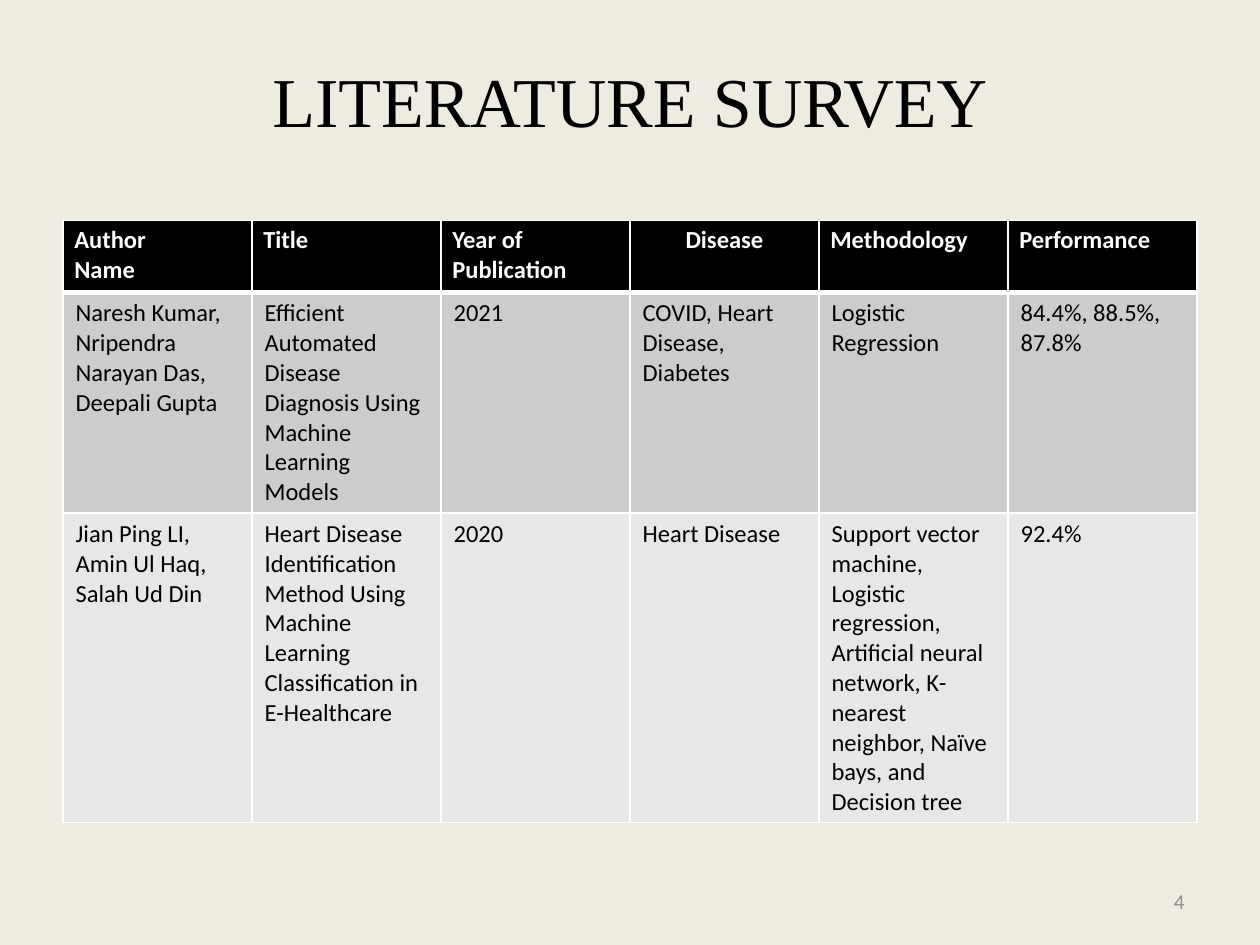
import pptx
import pptx.dml.color
import pptx.enum.text
import pptx.oxml
import pptx.oxml.ns
import pptx.util
from lxml import etree

RGBColor = pptx.dml.color.RGBColor
Inches = pptx.util.Inches
Align = pptx.enum.text.PP_ALIGN
Anchor = pptx.enum.text.MSO_ANCHOR

BACKGROUND = RGBColor(0xEE, 0xEC, 0xE1)
BLACK = RGBColor(0x00, 0x00, 0x00)
WHITE = RGBColor(0xFF, 0xFF, 0xFF)
GRAY = RGBColor(0x8C, 0x8C, 0x8C)
ROW_FILLS = [BLACK, RGBColor(0xCC, 0xCC, 0xCC), RGBColor(0xE7, 0xE7, 0xE7)]

ROW_HEIGHTS = [0.57, 1.75, 2.46]
SURVEY = [
    ["Author\nName", "Title", "Year of Publication", "Disease", "Methodology", "Performance"],
    [
        "Naresh Kumar, Nripendra Narayan Das, Deepali Gupta",
        "Efficient Automated Disease Diagnosis Using Machine Learning Models",
        "2021",
        "COVID, Heart Disease,\nDiabetes",
        "Logistic Regression",
        "84.4%, 88.5%,\n87.8%",
    ],
    [
        "Jian Ping LI, Amin Ul Haq, Salah Ud Din",
        "Heart Disease Identification Method Using Machine Learning Classification in E-Healthcare",
        "2020",
        "Heart Disease",
        "Support vector machine, Logistic regression, Artificial neural network, "
        "K-nearest neighbor, Naïve bays, and Decision tree",
        "92.4%",
    ],
]


def write_text(frame, text, size=14, font="Calibri", color=BLACK, bold=False, align=Align.LEFT):
    """Fill a text frame, one paragraph for each line of the text."""
    frame.word_wrap = True
    for index, line in enumerate(text.split("\n")):
        paragraph = frame.paragraphs[0] if index == 0 else frame.add_paragraph()
        paragraph.alignment = align
        run = paragraph.add_run()
        run.text = line
        run.font.size = pptx.util.Pt(size)
        run.font.name = font
        run.font.bold = bold
        run.font.color.rgb = color


def add_border(cell, side, points):
    """Draw a white line on one side (L, R, T or B) of a cell; call before filling it."""
    qn = pptx.oxml.ns.qn
    properties = cell._tc.get_or_add_tcPr()
    line = etree.SubElement(properties, qn(f"a:ln{side}"), w=str(pptx.util.Pt(points)))
    fill = etree.SubElement(line, qn("a:solidFill"))
    etree.SubElement(fill, qn("a:srgbClr"), val=str(WHITE))


presentation = pptx.Presentation()
presentation.slide_width = Inches(10)
presentation.slide_height = Inches(7.5)
width, height = presentation.slide_width, presentation.slide_height
margin = int(width * 0.05)
content_width = width - 2 * margin

slide = presentation.slides.add_slide(presentation.slide_layouts[6])
slide.background.fill.solid()
slide.background.fill.fore_color.rgb = BACKGROUND

title = slide.shapes.add_textbox(margin, int(height * 0.04), content_width, int(height * 0.13))
title.text_frame.vertical_anchor = Anchor.MIDDLE
write_text(title.text_frame, "LITERATURE SURVEY", size=40, font="Times New Roman", align=Align.CENTER)

table = slide.shapes.add_table(
    len(SURVEY), len(SURVEY[0]), margin, Inches(1.75), content_width, Inches(sum(ROW_HEIGHTS))
).table
for row_index, texts in enumerate(SURVEY):
    table.rows[row_index].height = Inches(ROW_HEIGHTS[row_index])
    is_header = row_index == 0
    for column_index, text in enumerate(texts):
        cell = table.cell(row_index, column_index)
        for side in "LRTB":
            below_header = (row_index, side) in [(0, "B"), (1, "T")]
            add_border(cell, side, 3 if below_header else 1)
        cell.fill.solid()
        cell.fill.fore_color.rgb = ROW_FILLS[row_index]
        if is_header:
            cell.margin_left = cell.margin_right = Inches(0.09)
            cell.margin_top = cell.margin_bottom = Inches(0.04)
        write_text(
            cell.text_frame,
            text,
            color=WHITE if is_header else BLACK,
            bold=is_header,
            align=Align.CENTER if is_header and text == "Disease" else Align.LEFT,
        )

number_width = Inches(2.33)
page_number = slide.shapes.add_textbox(
    width - margin - number_width, Inches(6.95), number_width, Inches(0.4)
)
page_number.text_frame.vertical_anchor = Anchor.MIDDLE
write_text(page_number.text_frame, "4", size=12, color=GRAY, align=Align.RIGHT)

presentation.save("out.pptx")
